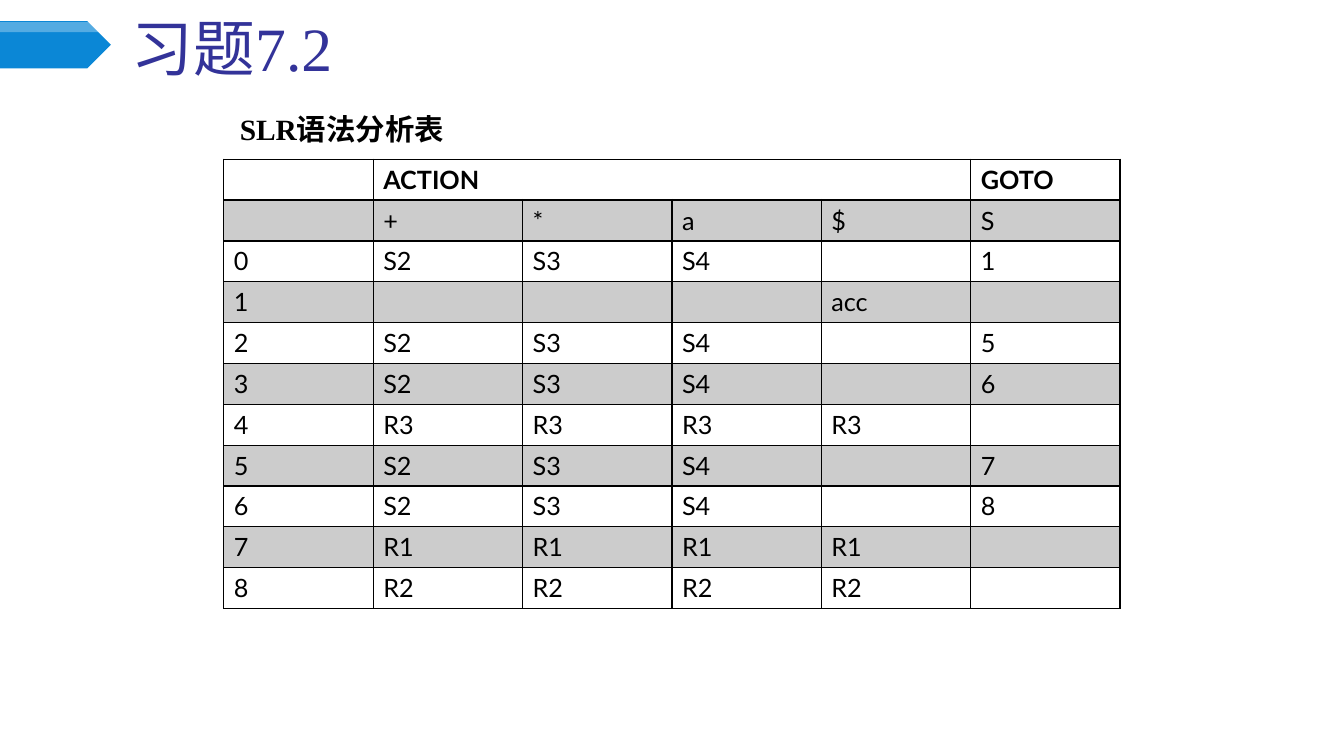
from lxml import etree
from pptx import Presentation
from pptx.dml.color import RGBColor
from pptx.enum.shapes import MSO_SHAPE as Shape
from pptx.enum.text import MSO_ANCHOR as Anchor
from pptx.oxml.ns import qn
from pptx.util import Inches, Pt

ACTION_COLUMNS = 4
SHIFTS = ["S2", "S3", "S4", ""]
PARSING_TABLE = [
    ["", "ACTION", "", "", "", "GOTO"],
    ["", "+", "*", "a", "$", "S"],
    ["0", *SHIFTS, "1"],
    ["1", "", "", "", "acc", ""],
    ["2", *SHIFTS, "5"],
    ["3", *SHIFTS, "6"],
    ["4", *["R3"] * ACTION_COLUMNS, ""],
    ["5", *SHIFTS, "7"],
    ["6", *SHIFTS, "8"],
    ["7", *["R1"] * ACTION_COLUMNS, ""],
    ["8", *["R2"] * ACTION_COLUMNS, ""],
]


def color(value):
    return RGBColor.from_string(value)


class SlideBuilder:
    heading_font = "Times New Roman"
    table_font = "Lato"
    black = "000000"

    def __init__(self, slide):
        self.slide = slide

    def fill(self, target, properties, value, opacity=100):
        target.fill.solid()
        target.fill.fore_color.rgb = color(value)
        if opacity < 100:
            rgb = properties.find(qn("a:solidFill")).find(qn("a:srgbClr"))
            etree.SubElement(rgb, qn("a:alpha"), val=str(opacity * 1000))

    def run(self, paragraph, text, font, size, value, bold=False):
        run = paragraph.add_run()
        run.text = text
        run.font.name = font
        run.font.size = Pt(size)
        run.font.bold = bold
        run.font.color.rgb = color(value)

    def pentagon(self, top, height, value, opacity=100):
        shape = self.slide.shapes.add_shape(
            Shape.PENTAGON, 0, Inches(top), Inches(1.1), Inches(height))
        shape.shadow.inherit = False
        shape.line.fill.background()
        self.fill(shape, shape._element.spPr, value, opacity)

    def text(self, box, text, size, value, bold=False,
             anchor=Anchor.TOP, line_spacing=None):
        shape = self.slide.shapes.add_textbox(*map(Inches, box))
        frame = shape.text_frame
        frame.word_wrap = True
        frame.vertical_anchor = anchor
        paragraph = frame.paragraphs[0]
        if line_spacing:
            paragraph.line_spacing = Pt(line_spacing)
        self.run(paragraph, text, self.heading_font, size, value, bold)

    def borders(self, properties, bottom_width):
        widths = {"a:lnL": 1, "a:lnR": 1, "a:lnT": 1, "a:lnB": bottom_width}
        for index, (side, width) in enumerate(widths.items()):
            line = etree.Element(qn(side), w=str(Pt(width)))
            solid = etree.SubElement(line, qn("a:solidFill"))
            etree.SubElement(solid, qn("a:srgbClr"), val=self.black)
            properties.insert(index, line)

    def table(self, box, rows):
        table = self.slide.shapes.add_table(
            len(rows), len(rows[0]), *map(Inches, box)).table
        for row_index, row in enumerate(rows):
            header = row_index == 0
            for column_index, text in enumerate(row):
                cell = table.cell(row_index, column_index)
                properties = cell._tc.get_or_add_tcPr()
                if row_index % 2:
                    self.fill(cell, properties, self.black, 20)
                else:
                    cell.fill.background()
                self.borders(properties, 2 if header else 1)
                if text:
                    self.run(cell.text_frame.paragraphs[0], text,
                             self.table_font, 18, self.black, header)
        return table


def main():
    presentation = Presentation()
    presentation.slide_width = Inches(13.33)
    presentation.slide_height = Inches(7.5)
    slide = presentation.slides.add_slide(presentation.slide_layouts[6])
    builder = SlideBuilder(slide)

    # Title marker with its highlight
    builder.pentagon(0.21, 0.47, "0B87D6")
    builder.pentagon(0.22, 0.1, "FFFFFF", 30)

    # Caption and title
    builder.text((2.28, 0.88, 8.98, 0.63), "SLR语法分析表", 21, "000000",
                 bold=True, line_spacing=38)
    builder.text((1.21, 0.18, 11.83, 0.7), "习题7.2", 44, "333399",
                 anchor=Anchor.BOTTOM)

    # Parsing table, with one heading over the action columns
    table = builder.table((2.22, 1.58, 8.89, 4.46), PARSING_TABLE)
    table.cell(0, 1).merge(table.cell(0, ACTION_COLUMNS))

    presentation.save("out.pptx")


if __name__ == "__main__":
    main()
